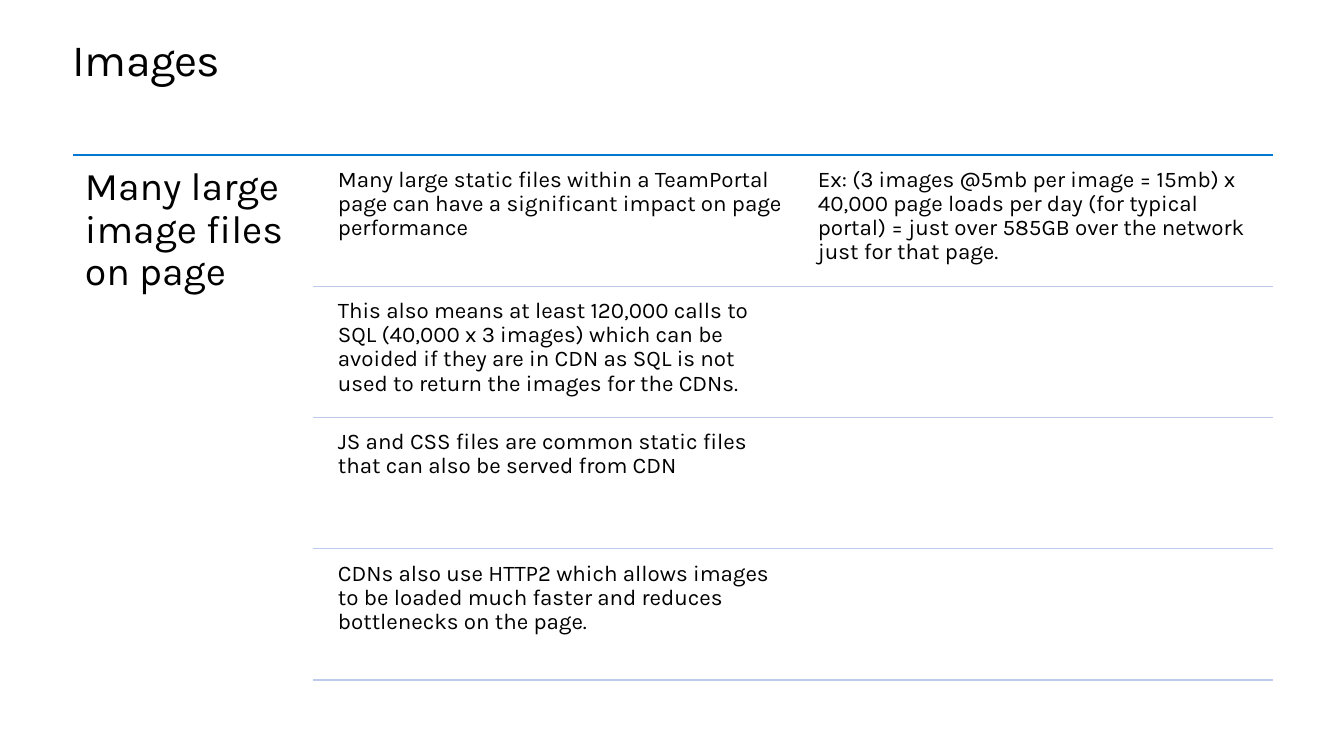
from dataclasses import dataclass

from lxml import etree
from pptx import Presentation
from pptx.dml.color import RGBColor
from pptx.enum.shapes import MSO_CONNECTOR
from pptx.enum.text import MSO_ANCHOR, MSO_AUTO_SIZE, PP_ALIGN
from pptx.oxml.ns import qn
from pptx.util import Pt

STRAIGHT = MSO_CONNECTOR.STRAIGHT
TOP = MSO_ANCHOR.TOP
NO_FIT = MSO_AUTO_SIZE.NONE
LEFT = PP_ALIGN.LEFT
EMU_PER_PX = 914400 / 100.8


@dataclass(frozen=True)
class Theme:
    """Colours, font and type sizes of the slide."""
    font: str = "Karla"
    text: str = "000000"
    paper: str = "FFFFFF"
    top_rule: str = "0078D4"
    row_rule: str = "BDCAEB"
    title: int = 32
    topic: int = 28
    body: int = 16


THEME = Theme()

TOPIC = "Many large image files on page"
ROWS = [
    ["Many large static files within a TeamPortal page can have a significant "
     "impact on page performance",
     "Ex: (3 images @5mb per image = 15mb) x 40,000 page loads per day (for typical "
     "portal) = just over 585GB over the network just for that page."],
    ["This also means at least 120,000 calls to SQL (40,000 x 3 images) which can be "
     "avoided if they are in CDN as SQL is not used to return the images for the CDNs."],
    ["JS and CSS files are common static files that can also be served from CDN"],
    ["CDNs also use HTTP2 which allows images to be loaded much faster and reduces "
     "bottlenecks on the page."],
]


def px(n):
    """Turn pixels into EMU."""
    return round(n * EMU_PER_PX)


def write(s, text, size, inset, spacing):
    """Set one formatted paragraph in a shape."""
    tf = s.text_frame
    tf.text = text
    tf.word_wrap = True
    tf.auto_size = NO_FIT
    tf.vertical_anchor = TOP
    tf.margin_left = tf.margin_right = tf.margin_top = tf.margin_bottom = px(inset)
    p = tf.paragraphs[0]
    p.alignment = LEFT
    p.line_spacing = spacing
    p.space_before = Pt(0)
    r = p.runs[0]
    r.font.name = THEME.font
    r.font.size = Pt(size)
    r.font.color.rgb = RGBColor.from_string(THEME.text)
    return r


def add_text(slide, box, text, size, inset):
    """Add a wrapped text box."""
    s = slide.shapes.add_textbox(*map(px, box))
    write(s, text, size, inset, 0.9)


def add_rule(slide, left, right, y, color):
    """Add a horizontal rule."""
    s = slide.shapes.add_connector(STRAIGHT, px(left), px(y), px(right), px(y))
    s.line.color.rgb = RGBColor.from_string(color)
    s.line.width = Pt(1)
    etree.SubElement(s._element.spPr, qn("a:effectLst"))


def add_title(slide, box, text):
    """Place and format the title placeholder."""
    s = slide.shapes.title
    s.left, s.top, s.width, s.height = map(px, box)
    s.fill.solid()
    s.fill.fore_color.rgb = RGBColor.from_string(THEME.paper)
    r = write(s, text, THEME.title, 0, Pt(36.2))
    r.font._element.set("spc", "-50")


def add_ruled_list(slide, box, topic, rows):
    """Place a topic on the left and ruled rows of statements beside it."""
    left, top, width, height = box
    right = left + width
    topic_width = width // 5
    column = (width - topic_width) // 2
    row_left = left + topic_width
    row_height = height / len(rows)
    add_rule(slide, left, right, top, THEME.top_rule)
    add_text(slide, (left, top, topic_width, height), topic, THEME.topic, 12)
    for i, row in enumerate(rows):
        y = top + i * row_height
        for j, text in enumerate(row):
            cell = (row_left + 18 + j * column, y + 6, column - 18, row_height - 6)
            add_text(slide, cell, text, THEME.body, 7)
        add_rule(slide, row_left, right, y + row_height, THEME.row_rule)


def main():
    """Build and save the slide."""
    prs = Presentation()
    prs.slide_width, prs.slide_height = px(1344), px(756)
    slide = prs.slides.add_slide(prs.slide_layouts.get_by_name("Title Only"))
    add_title(slide, (73, 35, 1200, 50), "Images")
    add_ruled_list(slide, (73, 155, 1200, 525), TOPIC, ROWS)
    prs.save("out.pptx")


if __name__ == "__main__":
    main()
